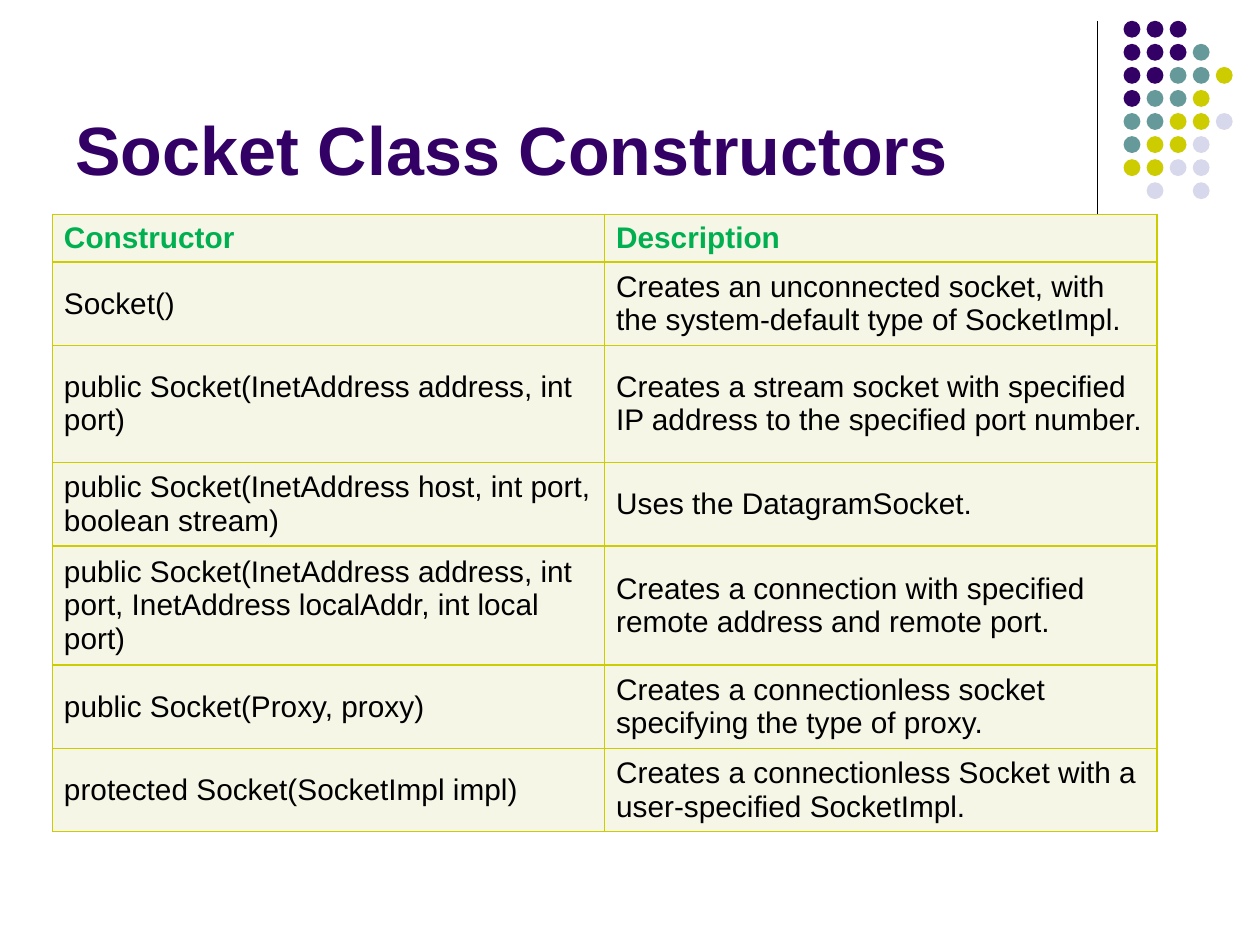
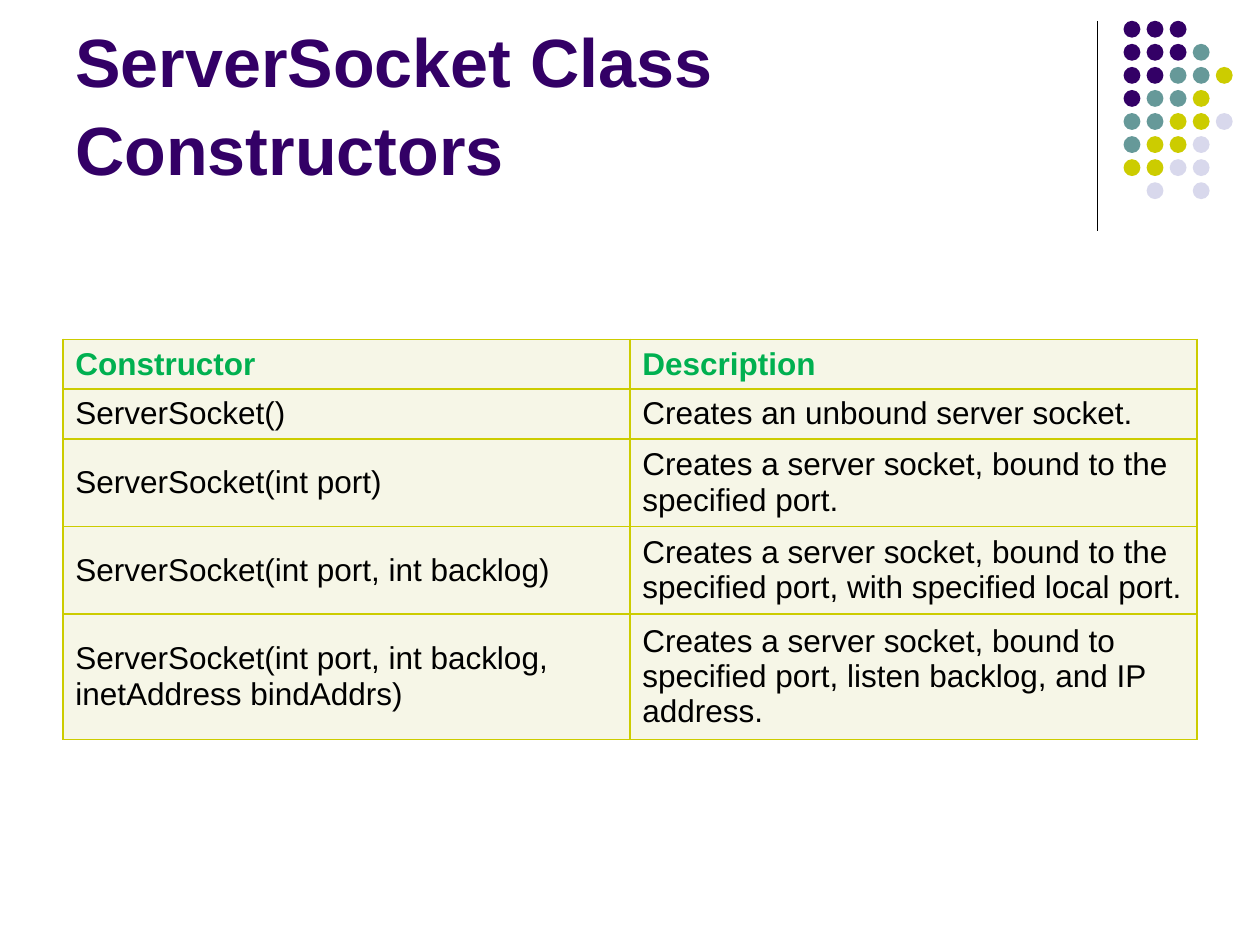
"""Build two slides that list the constructors of the Java socket classes."""
import pptx
import pptx.dml.color
import pptx.enum.shapes
import pptx.enum.text
import pptx.oxml
import pptx.oxml.ns
import pptx.util

Cm = pptx.util.Cm
Pt = pptx.util.Pt


def colour(hex_value):
    return pptx.dml.color.RGBColor.from_string(hex_value)


class Deck:
    font = "Arial"
    purple = "330066"
    olive = "CCCC00"
    green = "00B050"
    black = "000000"
    cream = "F6F6E7"
    dot_colours = {"P": purple, "T": "669999", "Y": olive, "L": "D8D8EC"}
    dot_rows = ["PPP", "PPPT", "PPTTY", "PTTY", "TTYYL", "TYYL", "YYLL", " L L"]

    def __init__(self):
        self.presentation = pptx.Presentation()
        self.presentation.slide_width = Cm(25.4)
        self.presentation.slide_height = Cm(19.05)
        self.slide = None

    def add_slide(self, title):
        layout = self.presentation.slide_layouts[6]
        self.slide = self.presentation.slides.add_slide(layout)
        self.add_rule()
        self.add_dots()
        self.add_title(title)

    def add_rule(self):
        rule = self.slide.shapes.add_connector(
            pptx.enum.shapes.MSO_CONNECTOR.STRAIGHT,
            Cm(22.12), Cm(0.42), Cm(22.12), Cm(4.65))
        rule.line.color.rgb = colour(self.black)
        rule.line.width = Pt(0.75)
        properties = rule._element.spPr
        properties.append(pptx.oxml.parse_xml(
            f"<a:effectLst {pptx.oxml.ns.nsdecls('a')}/>"))

    def add_dots(self):
        left, top, size = 22.65, 0.42, 0.34
        pitch = 1.86 / 4
        group = self.slide.shapes.add_group_shape()
        for row, keys in enumerate(self.dot_rows):
            for column, key in enumerate(keys):
                if key == " ":
                    continue
                dot = group.shapes.add_shape(
                    pptx.enum.shapes.MSO_SHAPE.OVAL,
                    Cm(left + column * pitch), Cm(top + row * pitch),
                    Cm(size), Cm(size))
                dot.shadow.inherit = False
                dot.fill.solid()
                dot.fill.fore_color.rgb = colour(self.dot_colours[key])
                dot.line.fill.background()

    def add_title(self, text):
        box = self.slide.shapes.add_textbox(Cm(1.27), Cm(0.33), Cm(20.96), Cm(3.61))
        frame = box.text_frame
        frame.word_wrap = True
        frame.vertical_anchor = pptx.enum.text.MSO_ANCHOR.BOTTOM
        paragraph = frame.paragraphs[0]
        paragraph.line_spacing = 1.08
        self.add_text(paragraph, text, 39, self.purple, True)

    def add_table(self, left, top, column_width, row_heights, rows, size, margin):
        table = self.slide.shapes.add_table(
            len(rows), 2, Cm(left), Cm(top),
            Cm(2 * column_width), Cm(sum(row_heights))).table
        for column in table.columns:
            column.width = Cm(column_width)
        for index, (height, texts) in enumerate(zip(row_heights, rows)):
            table.rows[index].height = Cm(height)
            is_header = index == 0
            for cell, text in zip(table.rows[index].cells, texts):
                self.style_cell(cell, margin)
                self.add_text(cell.text_frame.paragraphs[0], text, size,
                              self.green if is_header else self.black, is_header)

    def style_cell(self, cell, margin):
        formats = {
            "margin_left": Cm(margin), "margin_right": Cm(margin),
            "margin_top": Cm(0.12), "margin_bottom": Cm(0.12),
            "vertical_anchor": pptx.enum.text.MSO_ANCHOR.MIDDLE,
        }
        for name, value in formats.items():
            setattr(cell, name, value)
        properties = cell._tc.get_or_add_tcPr()
        for edge in ("lnL", "lnR", "lnT", "lnB"):
            properties.append(pptx.oxml.parse_xml(
                f"<a:{edge} {pptx.oxml.ns.nsdecls('a')} w='{Pt(1)}'><a:solidFill>"
                f"<a:srgbClr val='{self.olive}'/></a:solidFill></a:{edge}>"))
        cell.fill.solid()
        cell.fill.fore_color.rgb = colour(self.cream)

    def add_text(self, paragraph, text, size, hex_value, bold):
        run = paragraph.add_run()
        run.text = text
        formats = {"name": self.font, "size": Pt(size), "bold": bold}
        for name, value in formats.items():
            setattr(run.font, name, value)
        run.font.color.rgb = colour(hex_value)


header = ("Constructor", "Description")
socket_rows = [
    header,
    ("Socket()",
     "Creates an unconnected socket, with the system-default type of SocketImpl."),
    ("public Socket(InetAddress address, int port)",
     "Creates a stream socket with specified IP address to the specified port number."),
    ("public Socket(InetAddress host, int port, boolean stream)",
     "Uses the DatagramSocket."),
    ("public Socket(InetAddress address, int port, InetAddress localAddr, int local port)",
     "Creates a connection with specified remote address and remote port."),
    ("public Socket(Proxy, proxy)",
     "Creates a connectionless socket specifying the type of proxy."),
    ("protected Socket(SocketImpl impl)",
     "Creates a connectionless Socket with a user-specified SocketImpl."),
]
server_socket_rows = [
    header,
    ("ServerSocket()", "Creates an unbound server socket."),
    ("ServerSocket(int port)",
     "Creates a server socket, bound to the specified port."),
    ("ServerSocket(int port, int backlog)",
     "Creates a server socket, bound to the specified port, with specified local port."),
    ("ServerSocket(int port, int backlog, inetAddress bindAddrs)",
     "Creates a server socket, bound to specified port, listen backlog, and IP address."),
]

deck = Deck()
deck.add_slide("Socket Class Constructors")
deck.add_table(1.06, 4.32, 11.13, [0.94, 1.65, 2.36, 1.65, 2.36, 1.65, 1.65],
               socket_rows, 17, 0.23)
deck.add_slide("ServerSocket Class Constructors")
deck.add_table(1.27, 6.84, 11.43, [0.96, 0.96, 1.68, 1.68, 2.39],
               server_socket_rows, 18, 0.25)
deck.presentation.save("out.pptx")
